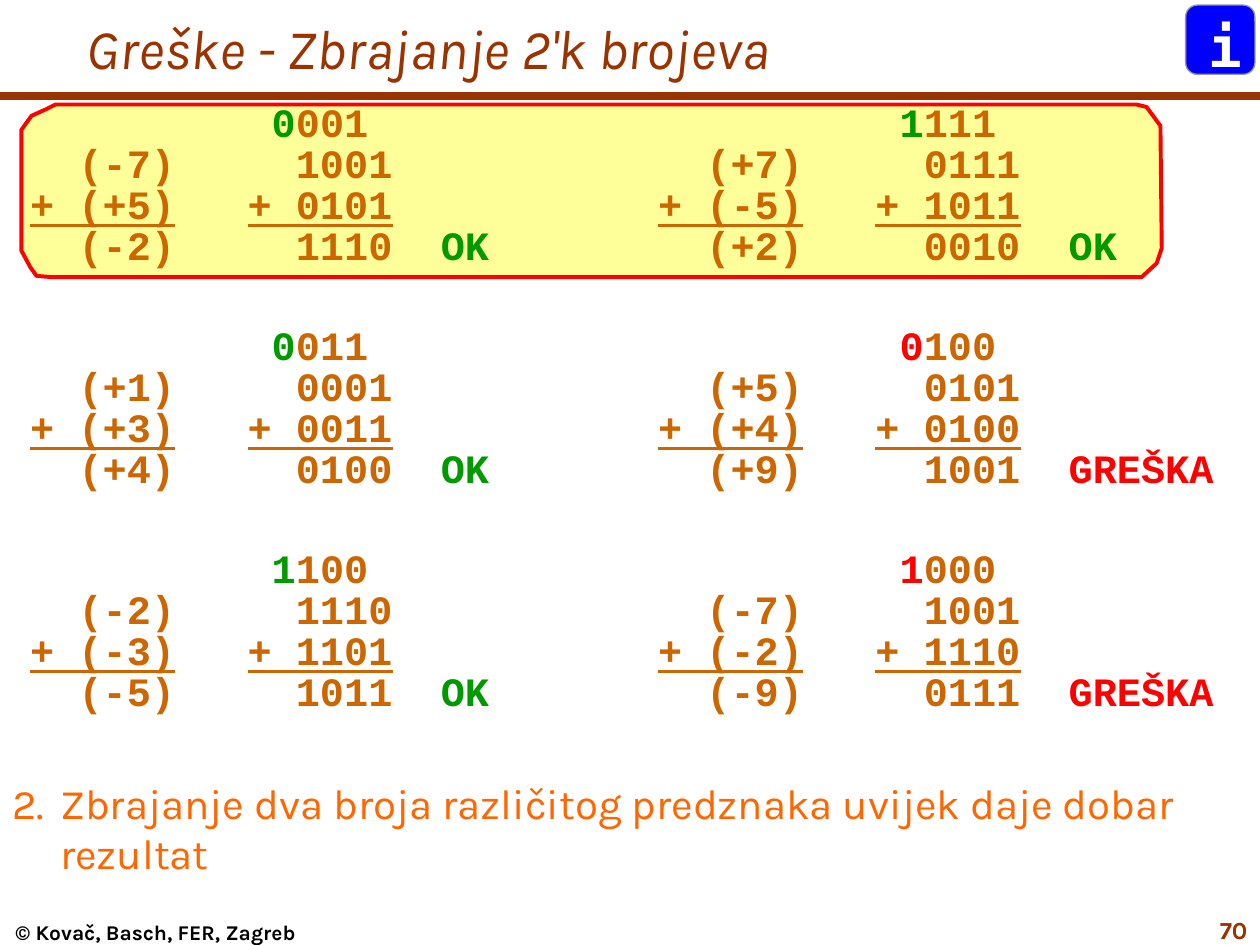
from lxml import etree
from pptx import Presentation
from pptx.dml.color import RGBColor
from pptx.enum.shapes import MSO_CONNECTOR, MSO_SHAPE
from pptx.enum.text import MSO_ANCHOR, PP_ALIGN
from pptx.oxml.ns import qn
from pptx.util import Inches, Pt

LEFT, MID, RIGHT = PP_ALIGN.LEFT, PP_ALIGN.CENTER, PP_ALIGN.RIGHT
TOP, CENTER = MSO_ANCHOR.TOP, MSO_ANCHOR.MIDDLE
STRAIGHT, ROUND = MSO_CONNECTOR.STRAIGHT, MSO_SHAPE.ROUNDED_RECTANGLE

HEX = {"brown": "993300", "sum": "CC6600", "good": "009900", "bad": "FF0000",
       "note": "FF6600", "pale": "FFFF99", "blue": "0000FF", "gray": "969696",
       "black": "000000", "white": "FFFFFF"}

# Each sum: carries, decimal column, binary column, verdict
SUMS = [
    [("0001", ("(-7)", "(+5)", "(-2)"), ("1001", "0101", "1110"), "OK"),
     ("1111", ("(+7)", "(-5)", "(+2)"), ("0111", "1011", "0010"), "OK")],
    [("0011", ("(+1)", "(+3)", "(+4)"), ("0001", "0011", "0100"), "OK"),
     ("0100", ("(+5)", "(+4)", "(+9)"), ("0101", "0100", "1001"), "GREŠKA")],
    [("1100", ("(-2)", "(-3)", "(-5)"), ("1110", "1101", "1011"), "OK"),
     ("1000", ("(-7)", "(-2)", "(-9)"), ("1001", "1110", "0111"), "GREŠKA")],
]
TONE = {"OK": "good", "GREŠKA": "bad"}
SIZE = 23
CHAR = 0.6 * SIZE / 72   # width of one monospaced letter, inches
HALF = 26                # letters from the left sum to the right sum
GAP = 33.8               # points between blocks

# Text boxes: text, place, insets, align, anchor, font
TEXTS = [
    ("© Kovač, Basch, FER, Zagreb", (0, 7.3, 2.47, 0.2), (0, 0), MID, TOP,
     {"name": "Karla", "size": 12, "color": "black", "bold": True}),
    ("Greške - Zbrajanje 2'k brojeva", (0.59, 0, 9.41, 0.75), (0.1, 0.05),
     LEFT, CENTER,
     {"name": "Karla", "size": 32, "color": "brown", "italic": True}),
    ("2.\tZbrajanje dva broja različitog predznaka uvijek daje dobar rezultat",
     (0, 6.12, 10, 0.9), (0.1, 0.05), LEFT, TOP,
     {"name": "Karla", "size": 24, "color": "note"}),
    ("i", (9.49, 0.04, 0.39, 0.64), (0.1, 0.05), LEFT, TOP,
     {"name": "DejaVu Sans Mono", "size": 32, "color": "white", "bold": True}),
    ("70", (9.17, 7.21, 0.83, 0.28), (0.1, 0.05), RIGHT, TOP,
     {"name": "Karla", "size": 14, "color": "brown", "bold": True}),
]
INDENT = 0.38
FRAME = [(0.44, 0.83), (9.02, 0.83), (9.1, 0.85), (9.21, 1), (9.22, 1.97),
         (9.18, 2.09), (9.06, 2.2), (8.96, 2.2), (0.41, 2.2), (0.29, 2.19),
         (0.24, 2.12), (0.17, 1.99), (0.17, 1.03), (0.25, 0.92), (0.36, 0.87)]


def rgb(name):
    return RGBColor.from_string(HEX[name])


def add_run(para, text, font):
    run = para.add_run()
    run.text = text
    for key, val in font.items():
        if key == "color":
            run.font.color.rgb = rgb(val)
        else:
            setattr(run.font, key, Pt(val) if key == "size" else val)


def add_box(slide, place, pad, anchor=TOP):
    frame = slide.shapes.add_textbox(*map(Inches, place)).text_frame
    frame.word_wrap = True
    frame.vertical_anchor = anchor
    frame.margin_left = frame.margin_right = Inches(pad[0])
    frame.margin_top = frame.margin_bottom = Inches(pad[1])
    return frame


def set_tabs(para, stops):
    tabs = etree.SubElement(para._p.get_or_add_pPr(), qn("a:tabLst"))
    for stop in stops:
        etree.SubElement(tabs, qn("a:tab"), pos=str(Inches(stop)), algn="l")


def paint(shape, fill, line, width):
    shape.shadow.inherit = False
    shape.fill.solid()
    shape.fill.fore_color.rgb = rgb(fill)
    shape.line.color.rgb = rgb(line)
    shape.line.width = Pt(width)


def sum_rows(carry, dec, num, verdict):
    """Four rows of (column, text, colour, underlined); column None joins on."""
    tone = TONE[verdict]
    return [
        [(10, carry[0], tone, False), (None, carry[1:], "sum", False)],
        [(2, dec[0], "sum", False), (11, num[0], "sum", False)],
        [(0, "+ " + dec[1], "sum", True), (9, "+ " + num[1], "sum", True)],
        [(2, dec[2], "sum", False), (11, num[2], "sum", False),
         (17, verdict, tone, False)],
    ]


def add_sums(slide):
    frame = add_box(slide, (0.24, 0.78, 9.54, 4.94), (0, 0.05))
    base = {"name": "Courier New", "size": SIZE, "bold": True}
    para = None
    for block, pair in enumerate(SUMS):
        for row, halves in enumerate(zip(*(sum_rows(*item) for item in pair))):
            para = frame.add_paragraph() if para else frame.paragraphs[0]
            para.line_spacing = 0.85
            if block and not row:
                para.space_before = Pt(GAP)
            stops = []
            for side, cells in enumerate(halves):
                for col, text, color, under in cells:
                    place = 0 if col is None else col + side * HALF
                    if place:
                        stops.append(place * CHAR)
                        add_run(para, "\t", {**base, "color": "sum"})
                    add_run(para, text,
                            {**base, "color": color, "underline": under})
            set_tabs(para, stops)


def main():
    deck = Presentation()
    deck.slide_width, deck.slide_height = Inches(10), Inches(7.5)
    slide = deck.slides.add_slide(deck.slide_layouts[6])
    shapes = slide.shapes

    rule = shapes.add_connector(STRAIGHT, 0, Inches(0.76),
                                Inches(10), Inches(0.76))
    rule.line.color.rgb = rgb("brown")
    rule.line.width = Pt(4.5)
    etree.SubElement(rule._element.spPr, qn("a:effectLst"))

    points = [(Inches(x), Inches(y)) for x, y in FRAME]
    pen = shapes.build_freeform(*points[0], scale=1.0)
    pen.add_line_segments(points[1:], close=True)
    paint(pen.convert_to_shape(), "pale", "bad", 2.25)

    add_sums(slide)

    badge = shapes.add_shape(ROUND, *map(Inches, (9.41, 0.04, 0.55, 0.55)))
    badge.adjustments[0] = 0.17
    paint(badge, "blue", "gray", 0.75)

    for text, place, pad, align, anchor, font in TEXTS:
        para = add_box(slide, place, pad, anchor).paragraphs[0]
        para.alignment = align
        if "\t" in text:
            props = para._p.get_or_add_pPr()
            props.set("marL", str(Inches(INDENT)))
            props.set("indent", str(-Inches(INDENT)))
        add_run(para, text, font)

    deck.save("out.pptx")


if __name__ == "__main__":
    main()
